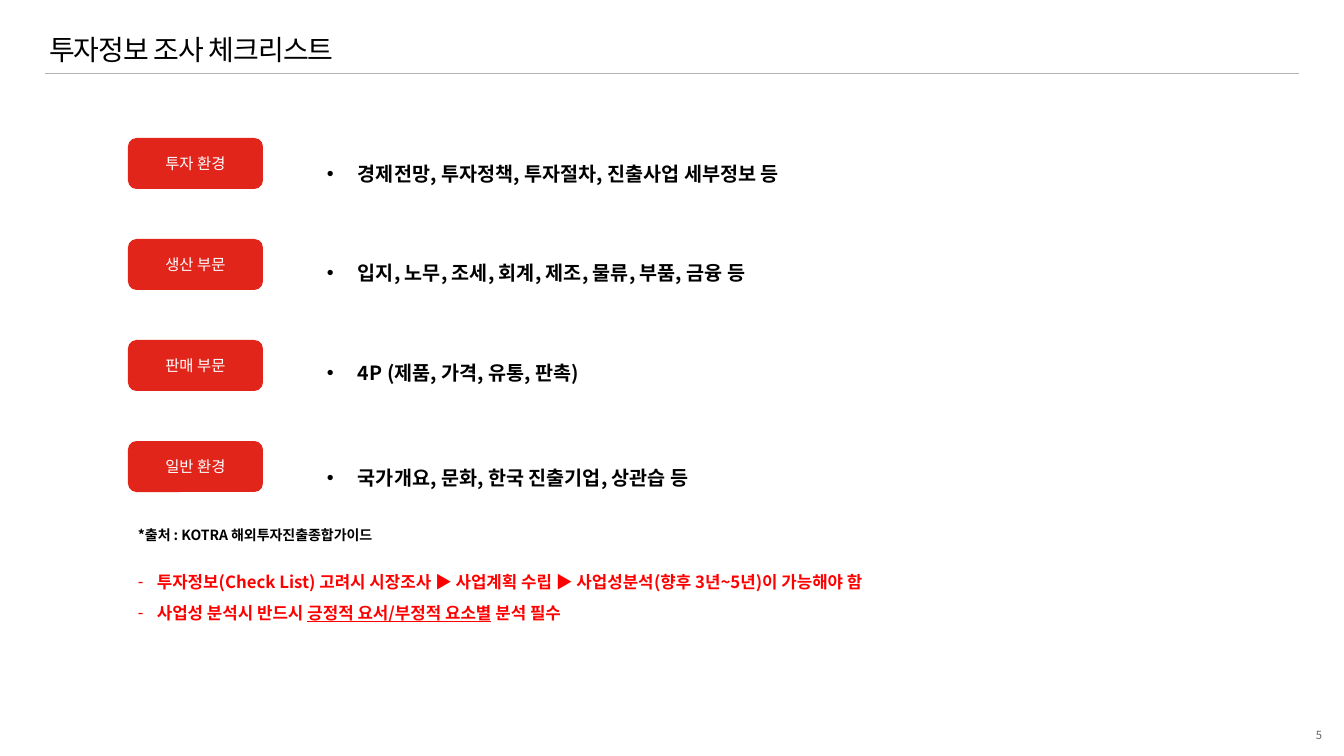
"""Builds the investment research checklist slide."""
from dataclasses import dataclass

from lxml import etree
from pptx import Presentation
from pptx.dml.color import RGBColor
from pptx.enum.shapes import MSO_CONNECTOR, MSO_SHAPE
from pptx.enum.text import MSO_ANCHOR, MSO_AUTO_SIZE, PP_ALIGN
from pptx.oxml.ns import qn
from pptx.util import Pt

ROUND = MSO_SHAPE.ROUNDED_RECTANGLE
STRAIGHT = MSO_CONNECTOR.STRAIGHT
MIDDLE, TOP = MSO_ANCHOR.MIDDLE, MSO_ANCHOR.TOP
GROW = MSO_AUTO_SIZE.SHAPE_TO_FIT_TEXT
LEFT, CENTER, RIGHT = PP_ALIGN.LEFT, PP_ALIGN.CENTER, PP_ALIGN.RIGHT
SCALE = 914400 / 100.8


@dataclass(frozen=True)
class Theme:
    """Holds the font, colours and type sizes."""
    font: str = "Noto Sans CJK KR"
    ink: str = "000000"
    paper: str = "FFFFFF"
    brand: str = "E1251B"
    alert: str = "FF0000"
    rule: str = "B4B4B5"
    muted: str = "636569"
    title: int = 20
    item: int = 14
    note: int = 12
    label: int = 11
    source: int = 10
    page: int = 8


THEME = Theme()
TOPICS = [
    ("투자 환경", "경제전망, 투자정책, 투자절차, 진출사업 세부정보 등", 145),
    ("생산 부문", "입지, 노무, 조세, 회계, 제조, 물류, 부품, 금융 등", 244),
    ("판매 부문", "4P (제품, 가격, 유통, 판촉)", 344),
    ("일반 환경", "국가개요, 문화, 한국 진출기업, 상관습 등", 449),
]
NOTES = [
    ["투자정보(Check List) 고려시 시장조사 ▶ 사업계획 수립 ▶ 사업성분석(향후 3년~5년)이 가능해야 함"],
    ["사업성 분석시 반드시 ", "긍정적 요서/부정적 요소별", " 분석 필수"],
]


def px(count):
    """Turns pixels into EMU."""
    return round(count * SCALE)


def paint(run, size, color, bold=False):
    """Sets the font of a run for Latin and Korean text."""
    font = run.font
    font.name, font.size, font.bold = THEME.font, Pt(size), bold
    font.color.rgb = RGBColor.from_string(color)
    east = etree.Element(qn("a:ea"), typeface=THEME.font)
    run._r.rPr.find(qn("a:latin")).addnext(east)


def bullet(para, mark, indent):
    """Gives a paragraph a hanging bullet."""
    props = para._p.get_or_add_pPr()
    props.set("marL", str(px(indent)))
    props.set("indent", str(-px(indent)))
    etree.SubElement(props, qn("a:buFont"), typeface="Arial")
    etree.SubElement(props, qn("a:buChar"), char=mark)


def add_box(slide, left, top, width, height, anchor=TOP, wrap=True):
    """Adds an empty text box and returns its frame."""
    box = slide.shapes.add_textbox(px(left), px(top), px(width), px(height))
    frame = box.text_frame
    frame.word_wrap, frame.vertical_anchor = wrap, anchor
    return frame


def write(para, text, size, color, bold=False, align=LEFT):
    """Fills a paragraph with one run and returns the run."""
    para.text = text
    para.alignment = align
    run = para.runs[0]
    paint(run, size, color, bold)
    return run


def add_title(slide, text):
    """Adds the heading and the rule below it."""
    frame = add_box(slide, 49, 32, 937, 39, MIDDLE)
    frame.margin_left = frame.margin_right = 0
    para = frame.paragraphs[0]
    run = write(para, text, THEME.title, THEME.ink)
    run._r.rPr.set("spc", "-70")
    para.line_spacing = 0.9
    line = slide.shapes.add_connector(STRAIGHT, px(45), px(73), px(1299), px(73))
    line.line.color.rgb = RGBColor.from_string(THEME.rule)
    line.line.width = Pt(0.5)
    etree.SubElement(line._element.spPr, qn("a:effectLst"))


def add_label(slide, text, top):
    """Adds a red rounded label."""
    shape = slide.shapes.add_shape(ROUND, px(128), px(top), px(135), px(51))
    shape.shadow.inherit = False
    shape.fill.solid()
    shape.fill.fore_color.rgb = RGBColor.from_string(THEME.brand)
    shape.line.fill.background()
    frame = shape.text_frame
    frame.vertical_anchor = MIDDLE
    write(frame.paragraphs[0], text, THEME.label, THEME.paper, align=CENTER)


def add_item(slide, text, top):
    """Adds the bulleted content of a topic."""
    frame = add_box(slide, 317, top, 1072, 42)
    frame.auto_size = GROW
    para = frame.paragraphs[0]
    bullet(para, "•", 31)
    write(para, text, THEME.item, THEME.ink, True)
    para.line_spacing = 1.5


def add_source(slide, text):
    """Adds the source line."""
    frame = add_box(slide, 128, 513, 282, 33)
    frame.auto_size = GROW
    para = frame.paragraphs[0]
    write(para, text, THEME.source, THEME.ink, True)
    para.line_spacing = 1.5


def add_notes(slide, notes):
    """Adds the red remarks, underlining every second part."""
    frame = add_box(slide, 128, 557, 1155, 67)
    frame.auto_size = GROW
    for row, parts in enumerate(notes):
        para = frame.add_paragraph() if row else frame.paragraphs[0]
        bullet(para, "-", 19)
        para.line_spacing = 1.5
        for spot, part in enumerate(parts):
            run = para.add_run()
            run.text = part
            paint(run, THEME.note, THEME.alert, True)
            run.font.underline = spot % 2 == 1


def add_page(slide, number):
    """Adds the page number."""
    frame = add_box(slide, 1308, 728, 14, 13, wrap=False)
    frame.margin_left = frame.margin_right = 0
    frame.margin_top = frame.margin_bottom = 0
    frame.auto_size = GROW
    write(frame.paragraphs[0], number, THEME.page, THEME.muted, align=RIGHT)


def main():
    """Builds and saves the slide."""
    deck = Presentation()
    deck.slide_width, deck.slide_height = px(1344), px(756)
    slide = deck.slides.add_slide(deck.slide_layouts[6])
    add_title(slide, "투자정보 조사 체크리스트")
    for row, (label, item, top) in enumerate(TOPICS):
        add_label(slide, label, 138 + 101 * row)
        add_item(slide, item, top)
    add_notes(slide, NOTES)
    add_source(slide, "*출처 : KOTRA 해외투자진출종합가이드")
    add_page(slide, "5")
    deck.save("out.pptx")


if __name__ == "__main__":
    main()
